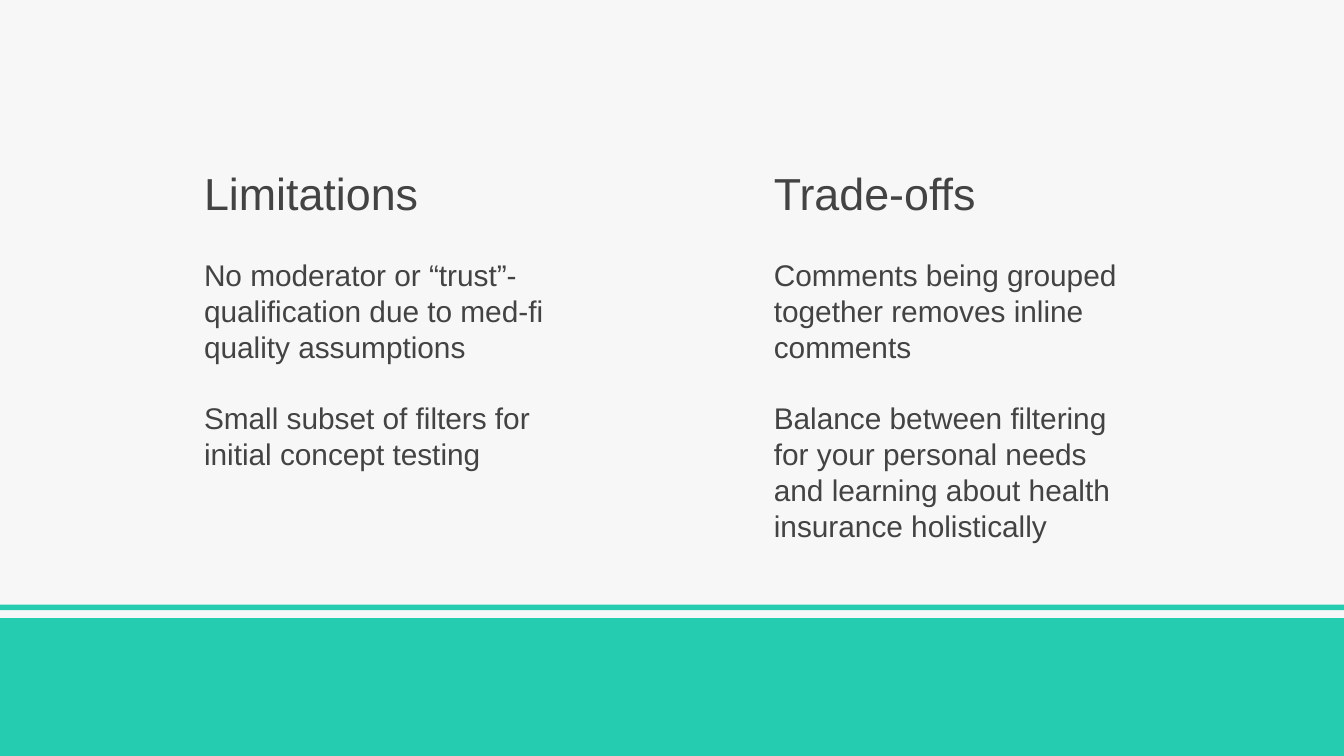
"""Build a slide comparing limitations and trade-offs in two columns."""
import pptx
import pptx.dml.color
import pptx.enum.shapes
import pptx.enum.text
import pptx.util

Inches = pptx.util.Inches
Pt = pptx.util.Pt
RGBColor = pptx.dml.color.RGBColor
MSO_ANCHOR = pptx.enum.text.MSO_ANCHOR

PAPER = RGBColor(0xF7, 0xF7, 0xF7)
INK = RGBColor(0x43, 0x43, 0x43)
TEAL = RGBColor(0x25, 0xCC, 0xB0)

COLUMNS = [
    ("Limitations", [
        "No moderator or “trust”-qualification due to med-fi quality assumptions",
        "Small subset of filters for initial concept testing",
    ]),
    ("Trade-offs", [
        "Comments being grouped together removes inline comments",
        "Balance between filtering for your personal needs and learning "
        "about health insurance holistically",
    ]),
]
BANDS = [(4.6, 1.03), (4.5, 0.04)]

SLIDE_WIDTH = 10
SLIDE_HEIGHT = SLIDE_WIDTH * 9 / 16
COLUMN_LEFT, COLUMN_STEP, COLUMN_WIDTH = 1.42, 4.24, 2.86


def add_text(slide, left, top, height, paragraphs, size, anchor):
    box = slide.shapes.add_textbox(
        Inches(left), Inches(top), Inches(COLUMN_WIDTH), Inches(height))
    frame = box.text_frame
    frame.word_wrap = True
    frame.vertical_anchor = anchor
    frame.margin_left = frame.margin_right = Inches(0.1)
    frame.margin_top = frame.margin_bottom = Inches(0.1)
    for index, wording in enumerate(paragraphs):
        paragraph = frame.add_paragraph() if index else frame.paragraphs[0]
        paragraph.text = wording
        paragraph.line_spacing = 1.0
        if index:
            paragraph.space_before = Pt(19.2)
        paragraph.font.name = "Arial"
        paragraph.font.size = Pt(size)
        paragraph.font.color.rgb = INK


def add_band(slide, top, height):
    band = slide.shapes.add_shape(
        pptx.enum.shapes.MSO_SHAPE.RECTANGLE,
        0, Inches(top), Inches(SLIDE_WIDTH), Inches(height))
    band.shadow.inherit = False
    band.fill.solid()
    band.fill.fore_color.rgb = TEAL
    band.line.fill.background()


def main():
    deck = pptx.Presentation()
    deck.slide_width = Inches(SLIDE_WIDTH)
    deck.slide_height = Inches(SLIDE_HEIGHT)
    slide = deck.slides.add_slide(deck.slide_layouts[6])
    slide.background.fill.solid()
    slide.background.fill.fore_color.rgb = PAPER

    for index, (heading, points) in enumerate(COLUMNS):
        left = COLUMN_LEFT + index * COLUMN_STEP
        add_text(slide, left, 1.1, 0.63, [heading], 24, MSO_ANCHOR.BOTTOM)
        add_text(slide, left, 1.81, 2.15, points, 16, MSO_ANCHOR.TOP)
    for top, height in BANDS:
        add_band(slide, top, height)

    deck.save("out.pptx")


if __name__ == "__main__":
    main()
